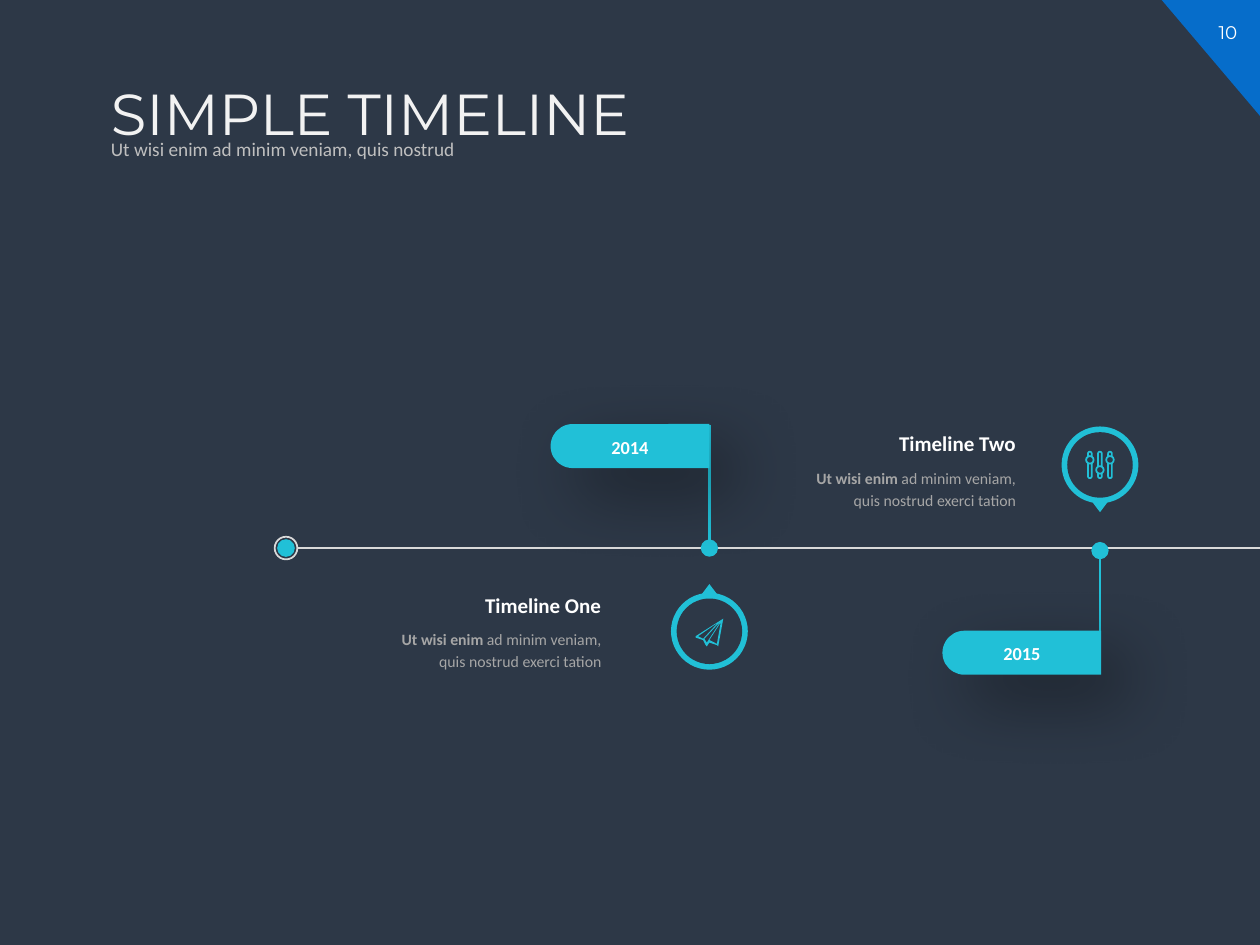
from dataclasses import dataclass

from lxml.etree import SubElement
from pptx import Presentation
from pptx.dml.color import RGBColor
from pptx.enum.shapes import MSO_CONNECTOR, MSO_SHAPE as SHAPE
from pptx.enum.text import MSO_ANCHOR as ANCHOR, MSO_AUTO_SIZE as AUTO_SIZE, PP_ALIGN as ALIGN
from pptx.oxml.ns import qn
from pptx.util import Inches, Pt


@dataclass(frozen=True)
class Theme:
    background: str = "2D3847"
    accent: str = "21C0D7"
    corner: str = "066DCA"
    white: str = "FFFFFF"
    title: str = "F2F2F2"
    subtitle: str = "BFBFBF"
    rule: str = "D9D9D9"
    muted: str = "A6A6A6"
    heading_font: str = "Montserrat"
    body_font: str = "Calibri"
    title_size: float = 33
    subtitle_size: float = 11
    label_size: float = 10.5
    item_size: float = 12
    detail_size: float = 9


def color(value):
    return RGBColor.from_string(value)


class TimelineSlide:
    def __init__(self, presentation, theme):
        self.theme = theme
        self.slide = presentation.slides.add_slide(presentation.slide_layouts[2])
        fill = self.slide.background.fill
        fill.solid()
        fill.fore_color.rgb = color(theme.background)

    def format_text(self, frame, size, ink, font=None, align=ALIGN.LEFT, bold=False, spacing=1.0):
        for paragraph in frame.paragraphs:
            paragraph.alignment = align
            paragraph.line_spacing = spacing
            paragraph.space_before = Pt(0)
            for run in paragraph.runs:
                run.font.name = font or self.theme.body_font
                run.font.size = Pt(size)
                run.font.bold = bold
                run.font.color.rgb = color(ink)

    def placeholder(self, index, box, text, size, ink, font, anchor):
        shape = self.slide.placeholders[index]
        shape.left, shape.top, shape.width, shape.height = map(Inches, box)
        frame = shape.text_frame
        frame.text = text
        frame.auto_size = AUTO_SIZE.NONE
        frame.vertical_anchor = anchor
        self.format_text(frame, size, ink, font, spacing=0.9)

    def text(self, box, text, size, ink, wrap=True, **style):
        frame = self.slide.shapes.add_textbox(*map(Inches, box)).text_frame
        frame.word_wrap = wrap
        frame.text = text
        self.format_text(frame, size, ink, **style)
        return frame

    def paint(self, shape, fill=None, line=None, width=1):
        shape.shadow.inherit = False
        if fill:
            shape.fill.solid()
            shape.fill.fore_color.rgb = color(fill)
        else:
            shape.fill.background()
        if line:
            shape.line.color.rgb = color(line)
            shape.line.width = Pt(width)
        else:
            shape.line.fill.background()

    def shape(self, kind, box, fill=None, line=None, rotation=0):
        shape = self.slide.shapes.add_shape(kind, *map(Inches, box))
        shape.rotation = rotation
        self.paint(shape, fill, line)
        return shape

    def centered(self, kind, x, y, width, height, **style):
        return self.shape(kind, (x - width / 2, y - height / 2, width, height), **style)

    def line(self, start, end, ink, width, dot=False):
        connector = self.slide.shapes.add_connector(
            MSO_CONNECTOR.STRAIGHT, *map(Inches, (*start, *end)))
        connector.line.color.rgb = color(ink)
        connector.line.width = Pt(width)
        properties = connector._element.spPr
        if dot:
            SubElement(properties.find(qn("a:ln")), qn("a:tailEnd"), type="oval", w="lg", len="lg")
        SubElement(properties, qn("a:effectLst"))

    def outline(self, contours, fill):
        points = [[(Inches(x), Inches(y)) for x, y in contour] for contour in contours]
        builder = self.slide.shapes.build_freeform(*points[0][0])
        builder.add_line_segments(points[0][1:], close=True)
        for contour in points[1:]:
            builder.move_to(*contour[0])
            builder.add_line_segments(contour[1:], close=True)
        self.paint(builder.convert_to_shape(), fill)

    def soft_shadow(self, shape):
        effects = shape._element.spPr.find(qn("a:effectLst"))
        shadow = SubElement(effects, qn("a:outerShdw"), blurRad=str(Pt(40)), dist=str(Pt(20)),
                            dir=str(45 * 60000), algn="ctr", rotWithShape="0")
        ink = SubElement(shadow, qn("a:srgbClr"), val="000000")
        SubElement(ink, qn("a:alpha"), val="40000")

    def year_flag(self, year, x, y, pole_start, pole_end):
        """Flag centred on (x, y) with a pole that ends in a dot on the timeline."""
        self.line(pole_start, pole_end, self.theme.accent, 1.5, dot=True)
        flag = self.centered(SHAPE.ROUND_2_SAME_RECTANGLE, x, y, 0.35, 1.26,
                             fill=self.theme.accent, rotation=270)
        flag.adjustments[0], flag.adjustments[1] = 0.5, 0
        self.soft_shadow(flag)
        self.text((x - 0.46, y - 0.13, 0.92, 0.28), year, self.theme.label_size,
                  self.theme.white, align=ALIGN.CENTER, bold=True)

    def description(self, right, top, heading, lead, rest):
        theme = self.theme
        self.text((right - 1.14, top, 1.14, 0.3), heading, theme.item_size, theme.white,
                  wrap=False, align=ALIGN.RIGHT, bold=True)
        frame = self.text((right - 1.99, top + 0.28, 1.99, 0.47), lead, theme.detail_size,
                          theme.muted, align=ALIGN.RIGHT, spacing=1.14)
        paragraph = frame.paragraphs[0]
        paragraph.add_run().text = rest
        self.format_text(frame, theme.detail_size, theme.muted, align=ALIGN.RIGHT, spacing=1.14)
        paragraph.runs[0].font.bold = True

    def badge(self, x, y, direction):
        """Ring with a pointer: direction -1 points up, 1 points down."""
        accent = self.theme.accent
        self.centered(SHAPE.OVAL, x, y, 0.61, 0.61, fill=accent)
        self.centered(SHAPE.ISOSCELES_TRIANGLE, x, y + direction * 0.335, 0.12, 0.08,
                      fill=accent, rotation=180 if direction > 0 else 0)
        self.centered(SHAPE.OVAL, x, y, 0.52, 0.52, fill=self.theme.background)

    def sliders_icon(self, x, y):
        style = {"fill": self.theme.background, "line": self.theme.accent}
        for column, knob in ((-1, -0.04), (0, 0.04), (1, -0.04)):
            center = x + column * 0.08
            track = self.centered(SHAPE.ROUNDED_RECTANGLE, center, y, 0.03, 0.21, **style)
            track.adjustments[0] = 0.5
            self.centered(SHAPE.OVAL, center, y + knob, 0.06, 0.06, **style)

    def plane_icon(self):
        body = [(5.74, 4.91), (5.52, 5.05), (5.52, 5.06), (5.58, 5.08), (5.6, 5.12),
                (5.61, 5.13), (5.63, 5.1), (5.69, 5.12), (5.7, 5.13)]
        folds = [[(5.69, 5.11), (5.63, 5.08), (5.72, 4.94)],
                 [(5.59, 5.07), (5.72, 4.93), (5.61, 5.1)],
                 [(5.54, 5.05), (5.7, 4.94), (5.58, 5.07)]]
        self.outline([body, *folds], self.theme.accent)


def main():
    presentation = Presentation()
    presentation.slide_width, presentation.slide_height = Inches(10), Inches(7.5)
    theme = Theme()
    page = TimelineSlide(presentation, theme)

    # Page number corner
    page.shape(SHAPE.RIGHT_TRIANGLE, (9.22, 0, 0.78, 0.92), fill=theme.corner, rotation=180)
    page.text((9.49, 0.12, 0.51, 0.28), "10", theme.label_size, theme.white,
              font=theme.heading_font, align=ALIGN.CENTER)

    # Title and subtitle
    page.placeholder(0, (0.78, 0.63, 8.86, 0.73), "SIMPLE TIMELINE", theme.title_size,
                     theme.title, theme.heading_font, ANCHOR.TOP)
    page.placeholder(1, (0.78, 1.06, 7.21, 0.26), "Ut wisi enim ad minim veniam, quis nostrud",
                     theme.subtitle_size, theme.subtitle, theme.body_font, ANCHOR.MIDDLE)

    # Timeline axis and year flags
    page.line((2.36, 4.35), (10, 4.35), theme.rule, 1)
    page.year_flag("2014", 5, 3.54, (5.63, 3.37), (5.63, 4.35))
    page.year_flag("2015", 8.11, 5.18, (8.73, 5.35), (8.73, 4.37))

    # Descriptions
    lead, rest = "Ut wisi enim ", "ad minim veniam, quis nostrud exerci tation"
    page.description(4.87, 4.65, "Timeline One", lead, rest)
    page.description(8.16, 3.37, "Timeline Two", lead, rest)

    # Start marker
    page.centered(SHAPE.OVAL, 2.27, 4.35, 0.14, 0.14, fill=theme.accent)
    page.centered(SHAPE.OVAL, 2.27, 4.35, 0.18, 0.18, line=theme.rule)

    # Icon badges
    page.badge(8.73, 3.69, 1)
    page.sliders_icon(8.73, 3.69)
    page.badge(5.63, 5.01, -1)
    page.plane_icon()

    presentation.save("out.pptx")


if __name__ == "__main__":
    main()
